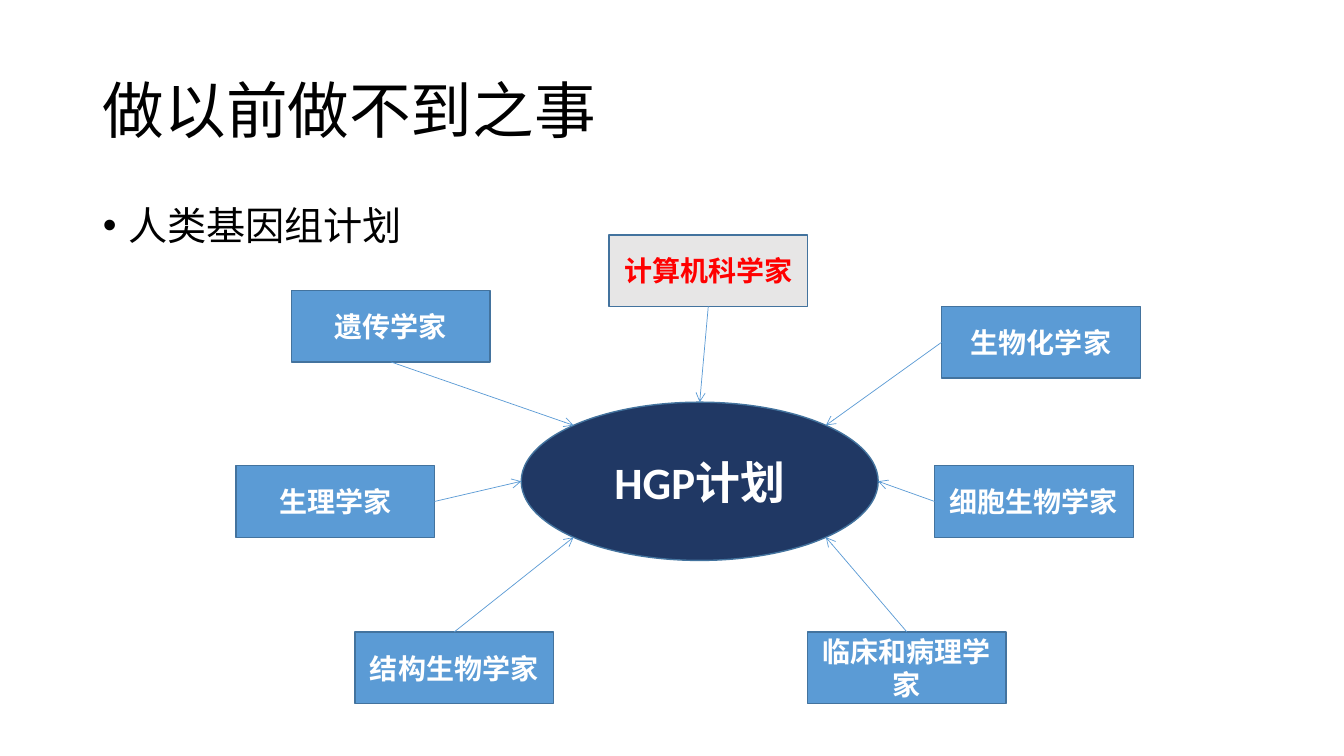
from math import cos, radians, sin

from lxml.etree import SubElement
from pptx import Presentation
from pptx.dml.color import RGBColor
from pptx.enum.shapes import MSO_CONNECTOR as CONN, MSO_SHAPE as SHAPE
from pptx.enum.text import MSO_ANCHOR as ANCHOR, MSO_AUTO_SIZE as AUTO, PP_ALIGN as ALIGN
from pptx.oxml.ns import qn
from pptx.util import Pt

PX = 9144  # EMU per px, 100 px to the inch
NAVY, BLUE, GREY, EDGE = "203864", "5B9BD5", "E7E6E6", "43739E"
BLACK, WHITE, RED = "000000", "FFFFFF", "FF0000"
TOP, LEFT, BOTTOM, RIGHT = range(4)  # connection sites of a rectangle
BOX_W, BOX_H = 197, 71

# text, left, top, site the arrow leaves from, angle where it meets the hub
SCIENTISTS = [
    ("计算机科学家", 604, 233, BOTTOM, 270),
    ("遗传学家", 289, 288, BOTTOM, 225),
    ("生理学家", 234, 462, RIGHT, 180),
    ("临床和病理学家", 801, 627, TOP, 45),
    ("结构生物学家", 352, 627, TOP, 135),
    ("细胞生物学家", 927, 462, LEFT, 0),
    ("生物化学家", 934, 304, LEFT, 315),
]


def px(n):
    return round(n * PX)


def rgb(code):
    return RGBColor.from_string(code)


def apply(obj, **values):
    for name, value in values.items():
        setattr(obj, name, value)


def write(tf, text, size, color, align, bold=False, anchor=ANCHOR.MIDDLE, **para):
    apply(tf, word_wrap=True, auto_size=AUTO.NONE, vertical_anchor=anchor)
    p = tf.paragraphs[0]
    apply(p, alignment=align, **para)
    r = p.add_run()
    r.text = text
    apply(r.font, name="Calibri", size=Pt(size), bold=bold)
    r.font.color.rgb = rgb(color)
    return p


def place(sp, x, y, w, h):
    apply(sp, left=px(x), top=px(y), width=px(w), height=px(h))


def add_title(s, box, text):
    sp = s.shapes.title
    place(sp, *box)
    write(sp.text_frame, text, 44, BLACK, ALIGN.LEFT, line_spacing=0.9)


def add_body(s, box, text):
    sp = s.placeholders[1]
    place(sp, *box)
    p = write(sp.text_frame, text, 28, BLACK, ALIGN.LEFT, anchor=ANCHOR.TOP,
              line_spacing=0.9, space_before=Pt(10))
    pPr = p._p.get_or_add_pPr()
    pPr.set("marL", str(px(25)))
    pPr.set("indent", str(px(-25)))
    SubElement(pPr, qn("a:buFont"), typeface="Arial")
    SubElement(pPr, qn("a:buChar"), char="•")


def add_node(s, kind, box, text, size, fill, color=WHITE):
    sp = s.shapes.add_shape(kind, *map(px, box))
    sp.shadow.inherit = False
    sp.fill.solid()
    sp.fill.fore_color.rgb = rgb(fill)
    sp.line.color.rgb = rgb(EDGE)
    sp.line.width = Pt(1)
    write(sp.text_frame, text, size, color, ALIGN.CENTER, bold=True)
    return sp


def add_arrow(s, node, site, end):
    c = s.shapes.add_connector(CONN.STRAIGHT, 0, 0, *map(px, end))
    c.begin_connect(node, site)
    c.line.color.rgb = rgb(BLUE)
    c.line.width = Pt(0.5)
    SubElement(c.line._get_or_add_ln(), qn("a:tailEnd"), type="arrow")
    SubElement(c._element.spPr, qn("a:effectLst"))


def add_diagram(s, hub):
    x, y, w, h = hub
    add_node(s, SHAPE.OVAL, hub, "HGP计划", 32, NAVY)

    # Scientists around the hub; the first one is highlighted
    nodes = []
    for i, (text, left, top, _, _) in enumerate(SCIENTISTS):
        fill, color = (BLUE, WHITE) if i else (GREY, RED)
        box = (left, top, BOX_W, BOX_H)
        nodes.append(add_node(s, SHAPE.RECTANGLE, box, text, 20, fill, color))

    # Arrows to the rim of the hub
    for node, (_, _, _, site, angle) in zip(nodes, SCIENTISTS):
        a = radians(angle)
        add_arrow(s, node, site, (x + w / 2 * (1 + cos(a)), y + h / 2 * (1 + sin(a))))


def main():
    prs = Presentation()
    apply(prs, slide_width=px(1333), slide_height=px(750))
    s = prs.slides.add_slide(prs.slide_layouts[1])
    add_title(s, (92, 40, 1150, 145), "做以前做不到之事")
    add_body(s, (92, 200, 1150, 476), "人类基因组计划")
    add_diagram(s, (517, 399, 354, 157))
    prs.save("out.pptx")


if __name__ == "__main__":
    main()
